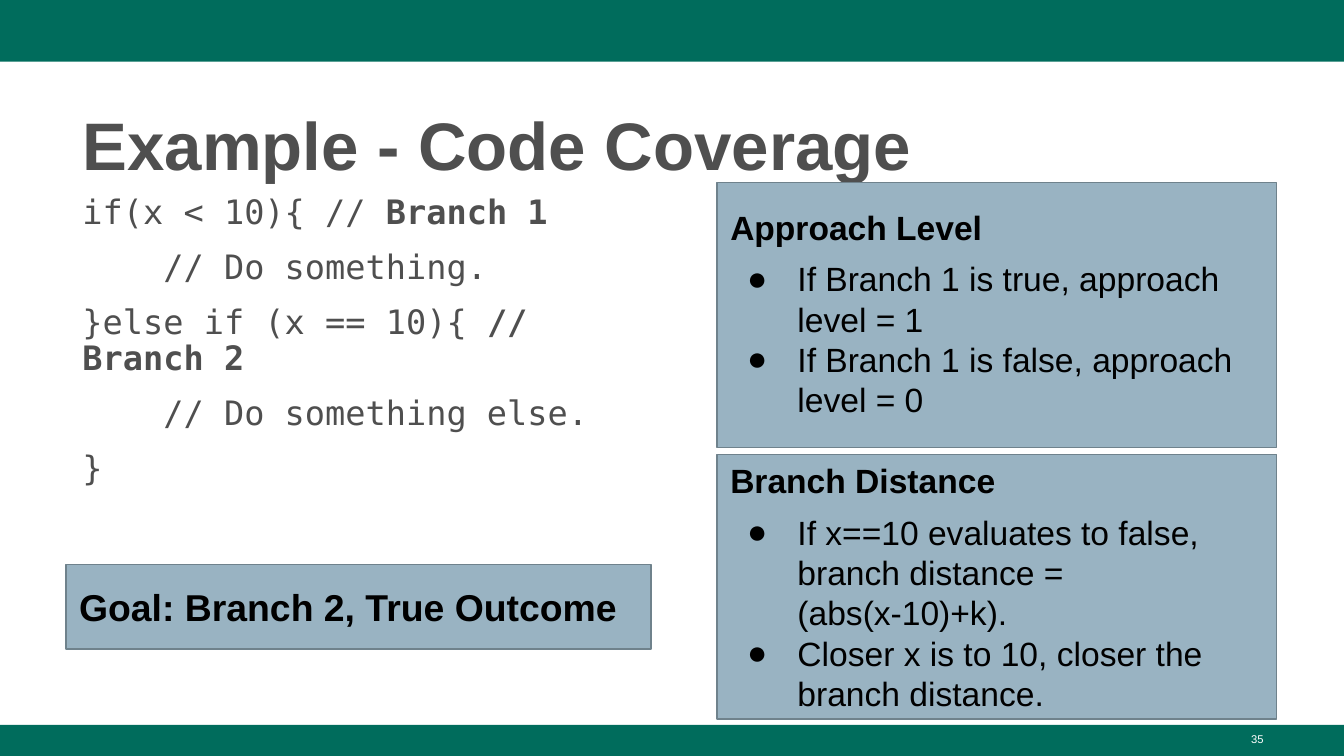
from dataclasses import dataclass

from lxml import etree
from pptx import Presentation
from pptx.dml.color import RGBColor
from pptx.enum.shapes import MSO_SHAPE
from pptx.enum.text import MSO_ANCHOR, PP_ALIGN
from pptx.oxml.ns import qn
from pptx.util import Emu, Pt

RECTANGLE = MSO_SHAPE.RECTANGLE
TOP, MIDDLE, BOTTOM = MSO_ANCHOR.TOP, MSO_ANCHOR.MIDDLE, MSO_ANCHOR.BOTTOM
LEFT, RIGHT = PP_ALIGN.LEFT, PP_ALIGN.RIGHT

GREEN = RGBColor(0x00, 0x6C, 0x5C)
GREY = RGBColor(0x4F, 0x4F, 0x4F)
BLUE = RGBColor(0x99, 0xB3, 0xC2)
BLUE_EDGE = RGBColor(0x6F, 0x82, 0x8C)
BLACK = RGBColor(0x00, 0x00, 0x00)
WHITE = RGBColor(0xFF, 0xFF, 0xFF)

SANS = "Arial"
MONO = "DejaVu Sans Mono"
EMU_PER_PX = 4572
SLIDE_WIDTH, SLIDE_HEIGHT = 2000, 1125


@dataclass(frozen=True)
class Box:
    left: int
    top: int
    width: int
    height: int


@dataclass(frozen=True)
class Panel:
    box: Box
    heading: str
    size: int = 18
    bullets: tuple[str, ...] = ()
    bottom_inset: int = 20


def px(length: int) -> Emu:
    return Emu(length * EMU_PER_PX)


def place(box: Box) -> tuple[Emu, ...]:
    return px(box.left), px(box.top), px(box.width), px(box.height)


def set_frame(frame, anchor=TOP, top: int = 10, bottom: int = 10) -> None:
    frame.word_wrap = True
    frame.vertical_anchor = anchor
    frame.margin_left = frame.margin_right = px(20)
    frame.margin_top, frame.margin_bottom = px(top), px(bottom)


def add_bullet(paragraph) -> None:
    properties = paragraph._p.get_or_add_pPr()
    properties.set("marL", str(px(100)))
    properties.set("indent", str(px(-75)))
    color = etree.SubElement(properties, qn("a:buClr"))
    etree.SubElement(color, qn("a:srgbClr"), val=str(BLACK))
    etree.SubElement(properties, qn("a:buFont"), typeface=SANS)
    etree.SubElement(properties, qn("a:buChar"), char="●")


def write(frame, text: str, *, size: int, color: RGBColor, font: str = SANS,
          bold: bool = False, bold_tail: str = "", align=LEFT,
          spacing: float = 1.0, before: int = 0, bullet: bool = False) -> None:
    first = not frame.paragraphs[0].runs
    paragraph = frame.paragraphs[0] if first else frame.add_paragraph()
    if bullet:
        add_bullet(paragraph)
    paragraph.alignment = align
    paragraph.line_spacing = spacing
    paragraph.space_before = Pt(0 if first else before)
    for part, weight in ((text, bold), (bold_tail, True)):
        if part:
            run = paragraph.add_run()
            run.text = part
            run.font.name = font
            run.font.size = Pt(size)
            run.font.bold = weight
            run.font.color.rgb = color


def add_rectangle(slide, box: Box, fill: RGBColor, edge: RGBColor | None = None):
    rectangle = slide.shapes.add_shape(RECTANGLE, *place(box))
    rectangle.shadow.inherit = False
    rectangle.fill.solid()
    rectangle.fill.fore_color.rgb = fill
    if edge is None:
        rectangle.line.fill.background()
    else:
        rectangle.line.color.rgb = edge
        rectangle.line.width = Pt(0.75)
    return rectangle


def add_text_frame(slide, box: Box):
    frame = slide.shapes.add_textbox(*place(box)).text_frame
    set_frame(frame)
    return frame


def add_panel(slide, panel: Panel) -> None:
    frame = add_rectangle(slide, panel.box, BLUE, BLUE_EDGE).text_frame
    set_frame(frame, MIDDLE, top=20, bottom=panel.bottom_inset)
    write(frame, panel.heading, size=panel.size, color=BLACK, bold=True)
    for index, bullet in enumerate(panel.bullets):
        write(frame, bullet, size=panel.size, color=BLACK, bullet=True,
              before=0 if index else 6)


BANDS = (Box(0, 0, SLIDE_WIDTH, 92), Box(0, 1079, SLIDE_WIDTH, 46))
CODE = (
    ("if(x < 10){ // ", "Branch 1"),
    ("    // Do something.", ""),
    ("}else if (x == 10){ ", "// Branch 2"),
    ("    // Do something else.", ""),
    ("}", ""),
)
PANELS = (
    Panel(Box(1067, 272, 833, 394), "Approach Level", bottom_inset=26, bullets=(
        "If Branch 1 is true, approach level = 1",
        "If Branch 1 is false, approach level = 0",
    )),
    Panel(Box(1067, 676, 833, 394), "Branch Distance", bullets=(
        "If x==10 evaluates to false, branch distance = (abs(x-10)+k).",
        "Closer x is to 10, closer the branch distance.",
    )),
    Panel(Box(98, 840, 871, 126), "Goal: Branch 2, True Outcome", size=20),
)


def main() -> None:
    deck = Presentation()
    deck.slide_width, deck.slide_height = px(SLIDE_WIDTH), px(SLIDE_HEIGHT)
    slide = deck.slides.add_slide(deck.slide_layouts[5])

    title = slide.shapes.title
    title.left, title.top, title.width, title.height = place(Box(103, 134, 1797, 146))
    set_frame(title.text_frame, BOTTOM, bottom=6)
    write(title.text_frame, "Example - Code Coverage", size=36, color=GREY,
          bold=True, spacing=1.08)

    for band in BANDS:
        add_rectangle(slide, band, GREEN)

    page_number = add_text_frame(slide, Box(1434, 1080, 466, 45))
    write(page_number, "35", size=6, color=WHITE, align=RIGHT)

    code = add_text_frame(slide, Box(103, 281, 910, 762))
    for statement, branch in CODE:
        write(code, statement, bold_tail=branch, size=18, color=GREY, font=MONO,
              spacing=0.9, before=10)

    for panel in PANELS:
        add_panel(slide, panel)

    deck.save("out.pptx")


if __name__ == "__main__":
    main()
